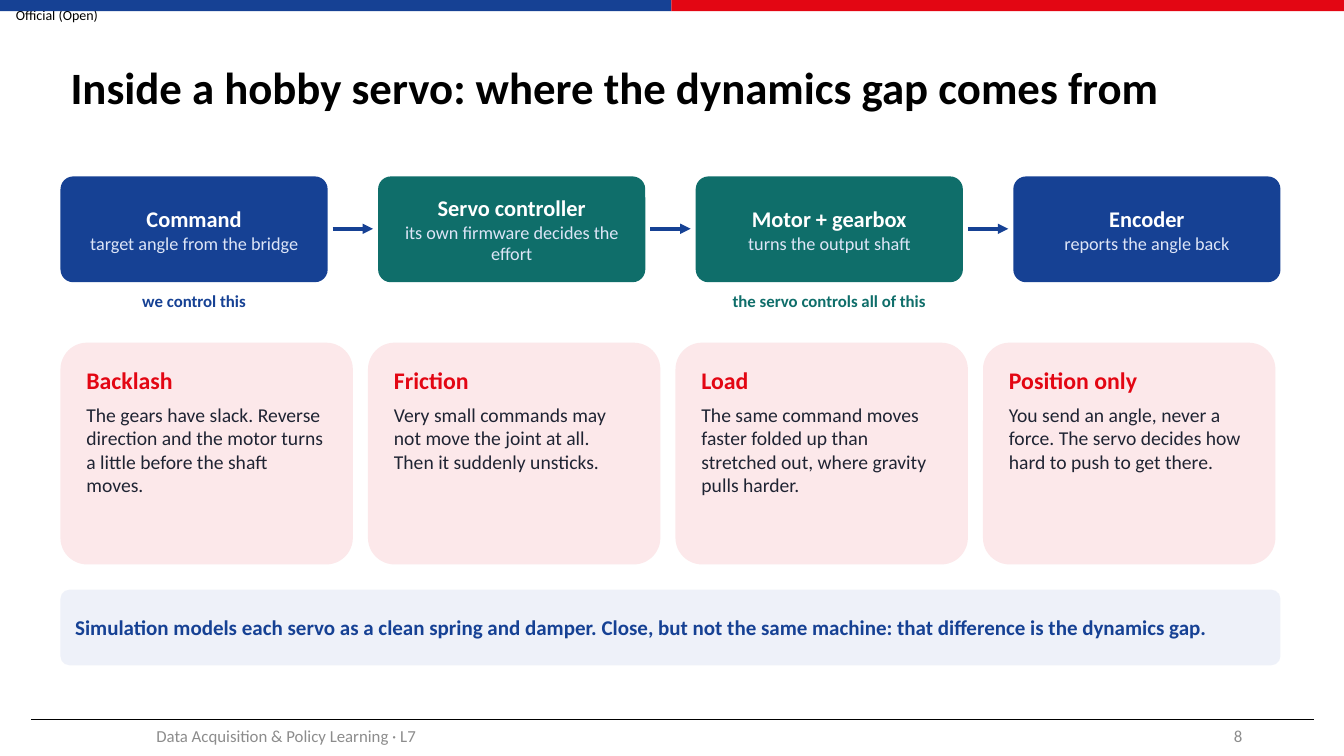
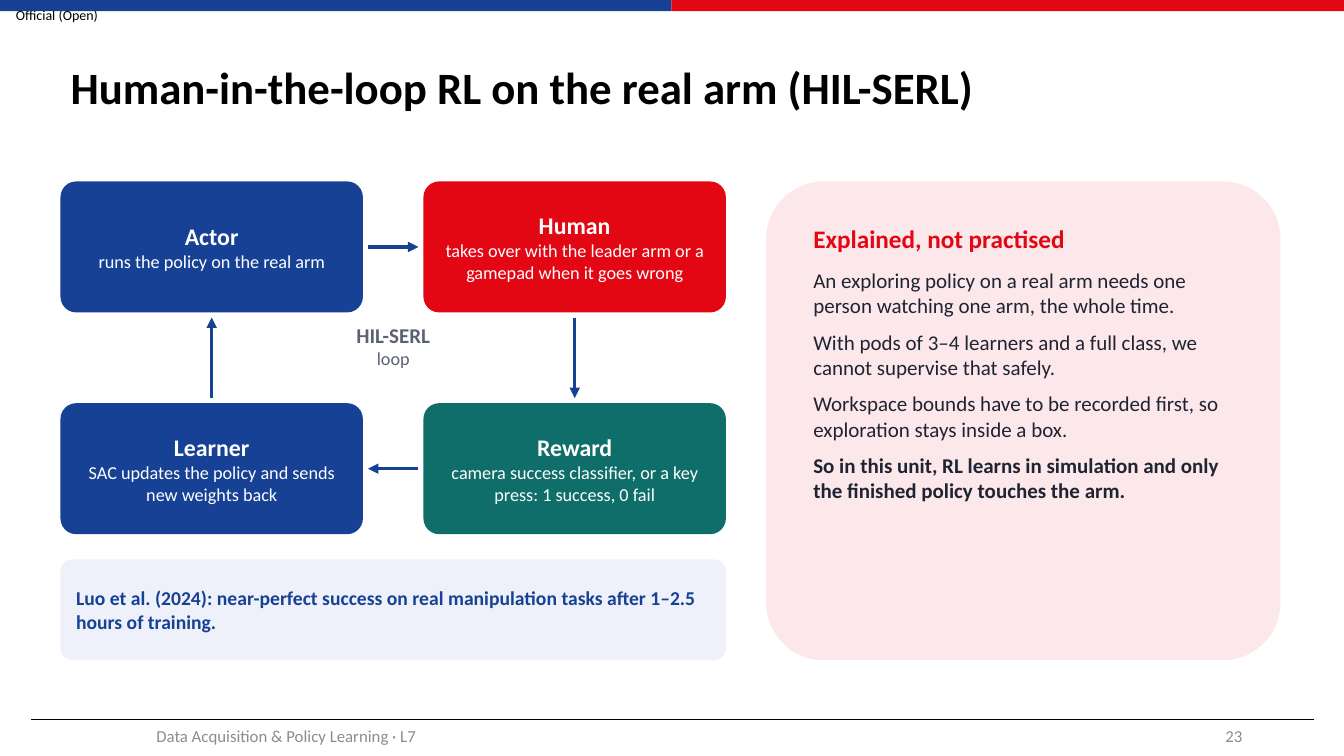
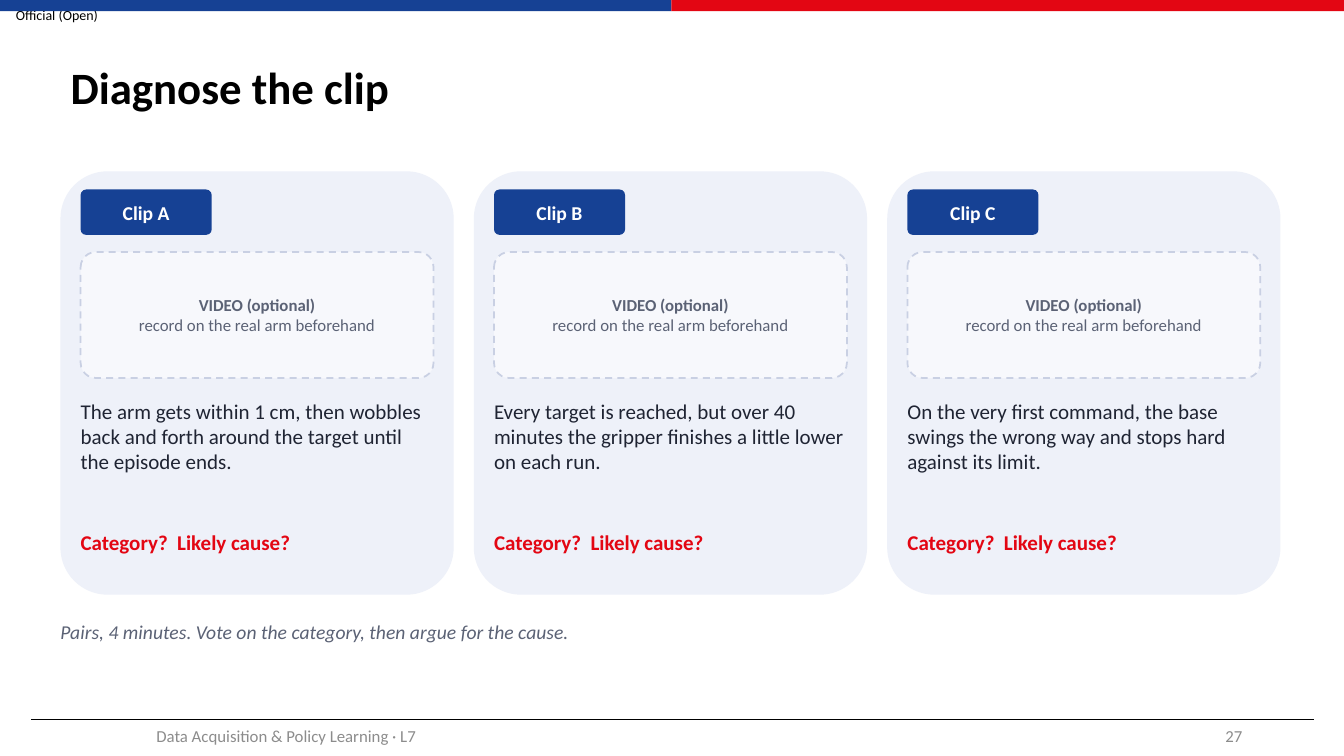
from dataclasses import dataclass

from lxml.etree import SubElement
from pptx import Presentation
from pptx.dml.color import RGBColor
from pptx.enum.dml import MSO_LINE
from pptx.enum.shapes import MSO_CONNECTOR, MSO_SHAPE
from pptx.enum.text import MSO_ANCHOR, PP_ALIGN
from pptx.oxml.ns import qn
from pptx.util import Pt

EMU_PER_PX = 9144
WIDTH, HEIGHT = 1333, 750
MARGIN = 60
CONTENT_WIDTH = 1210


def px(length):
    return length * EMU_PER_PX


@dataclass(frozen=True)
class Theme:
    font: str = "Calibri"
    black: str = "000000"
    white: str = "FFFFFF"
    blue: str = "164194"
    red: str = "E30613"
    teal: str = "0F6E6A"
    pale_blue: str = "EEF1F9"
    pale_red: str = "FCE8EA"
    video_fill: str = "F7F8FC"
    video_line: str = "C9D0E3"
    light_text: str = "DDE5F7"
    ink: str = "1F2433"
    muted: str = "5B6275"
    footer: str = "8C8C8C"
    title_size: int = 32
    panel_size: int = 18
    heading_size: int = 17
    step_size: int = 16
    body_size: int = 15
    note_size: int = 14
    detail_size: int = 13
    caption_size: int = 12
    mark_size: int = 10


THEME = Theme()


@dataclass(frozen=True)
class Line:
    text: str
    size: int
    color: str
    bold: bool = False
    italic: bool = False
    after: int = 0


class Deck:
    box_insets = (12, 6, 12, 6)
    no_insets = (0, 0, 0, 0)
    footer_insets = (10, 5, 10, 5)

    def __init__(self, theme):
        self.theme = theme
        self.presentation = Presentation()
        self.presentation.slide_width = px(WIDTH)
        self.presentation.slide_height = px(HEIGHT)
        self.slide = None

    def start_slide(self, title, number):
        theme = self.theme
        self.slide = self.presentation.slides.add_slide(self.presentation.slide_layouts[5])
        self.label(0, 0, 113, 29, [Line("Official (Open)", theme.mark_size, theme.black)],
                   align=PP_ALIGN.CENTER, anchor=MSO_ANCHOR.MIDDLE)
        half = WIDTH // 2
        self.box(0, 0, half, 11, theme.blue, kind=MSO_SHAPE.RECTANGLE)
        self.box(half, 0, WIDTH - half, 11, theme.red, kind=MSO_SHAPE.RECTANGLE)
        self.line(31, 714, 1303, 714, theme.black, 0.5)
        self.title(title)
        for left, width, text, align in (
            (59, 450, "Data Acquisition & Policy Learning · L7", PP_ALIGN.CENTER),
            (942, 300, str(number), PP_ALIGN.RIGHT),
        ):
            self.label(left, 710, width, 40, [Line(text, theme.caption_size, theme.footer)],
                       align=align, anchor=MSO_ANCHOR.MIDDLE, insets=self.footer_insets)

    def title(self, text):
        shape = self.slide.shapes.title
        shape.left, shape.top, shape.width, shape.height = map(px, (60, 30, 1208, 118))
        self.set_lines(shape, [Line(text, self.theme.title_size, self.theme.black, bold=True)],
                       PP_ALIGN.LEFT, MSO_ANCHOR.MIDDLE, self.footer_insets)
        shape.text_frame.paragraphs[0].line_spacing = 0.9

    def set_lines(self, shape, lines, align, anchor, insets):
        frame = shape.text_frame
        frame.word_wrap = True
        frame.vertical_anchor = anchor
        (frame.margin_left, frame.margin_top,
         frame.margin_right, frame.margin_bottom) = map(px, insets)
        frame.text = "\n".join(line.text for line in lines)
        for paragraph, line in zip(frame.paragraphs, lines):
            paragraph.alignment = align
            if line.after:
                paragraph.space_after = Pt(line.after)
            for run in paragraph.runs:
                run.font.name = self.theme.font
                run.font.size = Pt(line.size)
                run.font.bold = line.bold
                run.font.italic = line.italic
                run.font.color.rgb = RGBColor.from_string(line.color)

    def label(self, left, top, width, height, lines, align=PP_ALIGN.LEFT,
              anchor=MSO_ANCHOR.TOP, insets=no_insets):
        shape = self.slide.shapes.add_textbox(*map(px, (left, top, width, height)))
        self.set_lines(shape, lines, align, anchor, insets)

    def box(self, left, top, width, height, fill, lines=(), align=PP_ALIGN.CENTER,
            anchor=MSO_ANCHOR.MIDDLE, insets=box_insets, dashed=None,
            kind=MSO_SHAPE.ROUNDED_RECTANGLE):
        shape = self.slide.shapes.add_shape(kind, *map(px, (left, top, width, height)))
        shape.shadow.inherit = False
        shape.fill.solid()
        shape.fill.fore_color.rgb = RGBColor.from_string(fill)
        if kind == MSO_SHAPE.ROUNDED_RECTANGLE:
            shape.adjustments[0] = 0.12
        if dashed:
            shape.line.color.rgb = RGBColor.from_string(dashed)
            shape.line.width = Pt(1.25)
            shape.line.dash_style = MSO_LINE.DASH
        else:
            shape.line.fill.background()
        if lines:
            self.set_lines(shape, lines, align, anchor, insets)

    def card(self, left, top, width, height, lines, insets):
        self.box(left, top, width, height, self.theme.pale_red, lines,
                 PP_ALIGN.LEFT, MSO_ANCHOR.TOP, insets)

    def step(self, left, top, width, height, fill, name, detail, size, detail_color):
        self.box(left, top, width, height, fill, [
            Line(name, size, self.theme.white, bold=True),
            Line(detail, self.theme.detail_size, detail_color),
        ])

    def takeaway(self, top, width, height, text, size):
        self.box(MARGIN, top, width, height, self.theme.pale_blue,
                 [Line(text, size, self.theme.blue, bold=True)], PP_ALIGN.LEFT)

    def line(self, x1, y1, x2, y2, color, weight):
        connector = self.slide.shapes.add_connector(
            MSO_CONNECTOR.STRAIGHT, *map(px, (x1, y1, x2, y2)))
        connector.line.color.rgb = RGBColor.from_string(color)
        connector.line.width = Pt(weight)
        SubElement(connector.element.spPr, qn("a:effectLst"))
        return connector

    def arrow(self, x1, y1, x2, y2):
        connector = self.line(x1, y1, x2, y2, self.theme.blue, 2.5)
        outline = connector.element.spPr.find(qn("a:ln"))
        SubElement(outline, qn("a:tailEnd"), type="triangle")


def servo_slide(deck):
    theme = deck.theme
    deck.start_slide("Inside a hobby servo: where the dynamics gap comes from", 8)
    steps = (
        ("Command", "target angle from the bridge", theme.blue),
        ("Servo controller", "its own firmware decides the effort", theme.teal),
        ("Motor + gearbox", "turns the output shaft", theme.teal),
        ("Encoder", "reports the angle back", theme.blue),
    )
    step_width, gap = 265, 50
    for index, (name, detail, fill) in enumerate(steps):
        left = MARGIN + index * (step_width + gap)
        deck.step(left, 175, step_width, 105, fill, name, detail,
                  theme.step_size, theme.light_text)
        if index:
            deck.arrow(left - gap + 5, 227, left - 5, 227)
    for left, width, text, color in (
        (60, 265, "we control this", theme.blue),
        (375, 895, "the servo controls all of this", theme.teal),
    ):
        deck.label(left, 288, width, 35, [Line(text, theme.caption_size, color, bold=True)],
                   PP_ALIGN.CENTER)
    causes = (
        ("Backlash", "The gears have slack. Reverse direction and the motor turns "
                     "a little before the shaft moves."),
        ("Friction", "Very small commands may not move the joint at all. "
                     "Then it suddenly unsticks."),
        ("Load", "The same command moves faster folded up than stretched out, "
                 "where gravity pulls harder."),
        ("Position only", "You send an angle, never a force. "
                          "The servo decides how hard to push to get there."),
    )
    for index, (name, detail) in enumerate(causes):
        deck.card(MARGIN + index * 305, 340, 290, 220, [
            Line(name, theme.heading_size, theme.red, bold=True, after=6),
            Line(detail, theme.note_size, theme.ink),
        ], (18, 15, 18, 15))
    deck.takeaway(585, CONTENT_WIDTH, 75,
                  "Simulation models each servo as a clean spring and damper. Close, but not "
                  "the same machine: that difference is the dynamics gap.", theme.body_size)


def loop_slide(deck):
    theme = deck.theme
    deck.start_slide("Human-in-the-loop RL on the real arm (HIL-SERL)", 23)
    width, height = 300, 130
    left, right, top, bottom = 60, 420, 180, 400
    for x, y, fill, name, detail in (
        (left, top, theme.blue, "Actor", "runs the policy on the real arm"),
        (right, top, theme.red, "Human",
         "takes over with the leader arm or a gamepad when it goes wrong"),
        (right, bottom, theme.teal, "Reward",
         "camera success classifier, or a key press: 1 success, 0 fail"),
        (left, bottom, theme.blue, "Learner",
         "SAC updates the policy and sends new weights back"),
    ):
        deck.step(x, y, width, height, fill, name, detail, theme.heading_size, theme.white)
    gap_left, gap_right = left + width + 5, right - 5
    gap_top, gap_bottom = top + height + 5, bottom - 5
    middle_x, middle_y = width // 2, height // 2
    deck.arrow(gap_left, top + middle_y, gap_right, top + middle_y)
    deck.arrow(right + middle_x, gap_top, right + middle_x, gap_bottom)
    deck.arrow(gap_right, bottom + middle_y, gap_left, bottom + middle_y)
    deck.arrow(left + middle_x, gap_bottom, left + middle_x, gap_top)
    deck.label(275, 320, 230, 70, [
        Line("HIL-SERL", theme.body_size, theme.muted, bold=True),
        Line("loop", theme.detail_size, theme.muted),
    ], PP_ALIGN.CENTER)
    deck.takeaway(555, 660, 100,
                  "Luo et al. (2024): near-perfect success on real manipulation tasks "
                  "after 1–2.5 hours of training.", theme.note_size)
    reasons = (
        "An exploring policy on a real arm needs one person watching one arm, the whole time.",
        "With pods of 3–4 learners and a full class, we cannot supervise that safely.",
        "Workspace bounds have to be recorded first, so exploration stays inside a box.",
    )
    deck.card(760, 180, 510, 475, [
        Line("Explained, not practised", theme.panel_size, theme.red, bold=True, after=10),
        *(Line(reason, theme.body_size, theme.ink, after=8) for reason in reasons),
        Line("So in this unit, RL learns in simulation and only the finished policy "
             "touches the arm.", theme.body_size, theme.ink, bold=True),
    ], (30, 25, 30, 25))


def clips_slide(deck):
    theme = deck.theme
    deck.start_slide("Diagnose the clip", 27)
    clips = (
        ("Clip A", "The arm gets within 1 cm, then wobbles back and forth around "
                   "the target until the episode ends."),
        ("Clip B", "Every target is reached, but over 40 minutes the gripper finishes "
                   "a little lower on each run."),
        ("Clip C", "On the very first command, the base swings the wrong way "
                   "and stops hard against its limit."),
    )
    card_width, gap, padding = 390, 20, 20
    inner_width = card_width - 2 * padding
    for index, (name, symptom) in enumerate(clips):
        left = MARGIN + index * (card_width + gap)
        inner = left + padding
        deck.box(left, 170, card_width, 420, theme.pale_blue)
        deck.box(inner, 188, 130, 45, theme.blue,
                 [Line(name, theme.note_size, theme.white, bold=True)], insets=(2, 2, 2, 2))
        deck.box(inner, 250, inner_width, 125, theme.video_fill, [
            Line("VIDEO (optional)", theme.caption_size, theme.muted, bold=True),
            Line("record on the real arm beforehand", theme.caption_size, theme.muted),
        ], dashed=theme.video_line)
        deck.label(inner, 395, inner_width, 120, [Line(symptom, theme.body_size, theme.ink)])
        deck.label(inner, 525, inner_width, 50,
                   [Line("Category?  Likely cause?", theme.body_size, theme.red, bold=True)])
    deck.label(MARGIN, 615, CONTENT_WIDTH, 40, [
        Line("Pairs, 4 minutes. Vote on the category, then argue for the cause.",
             theme.note_size, theme.muted, italic=True)])


def main():
    deck = Deck(THEME)
    servo_slide(deck)
    loop_slide(deck)
    clips_slide(deck)
    deck.presentation.save("out.pptx")


if __name__ == "__main__":
    main()
